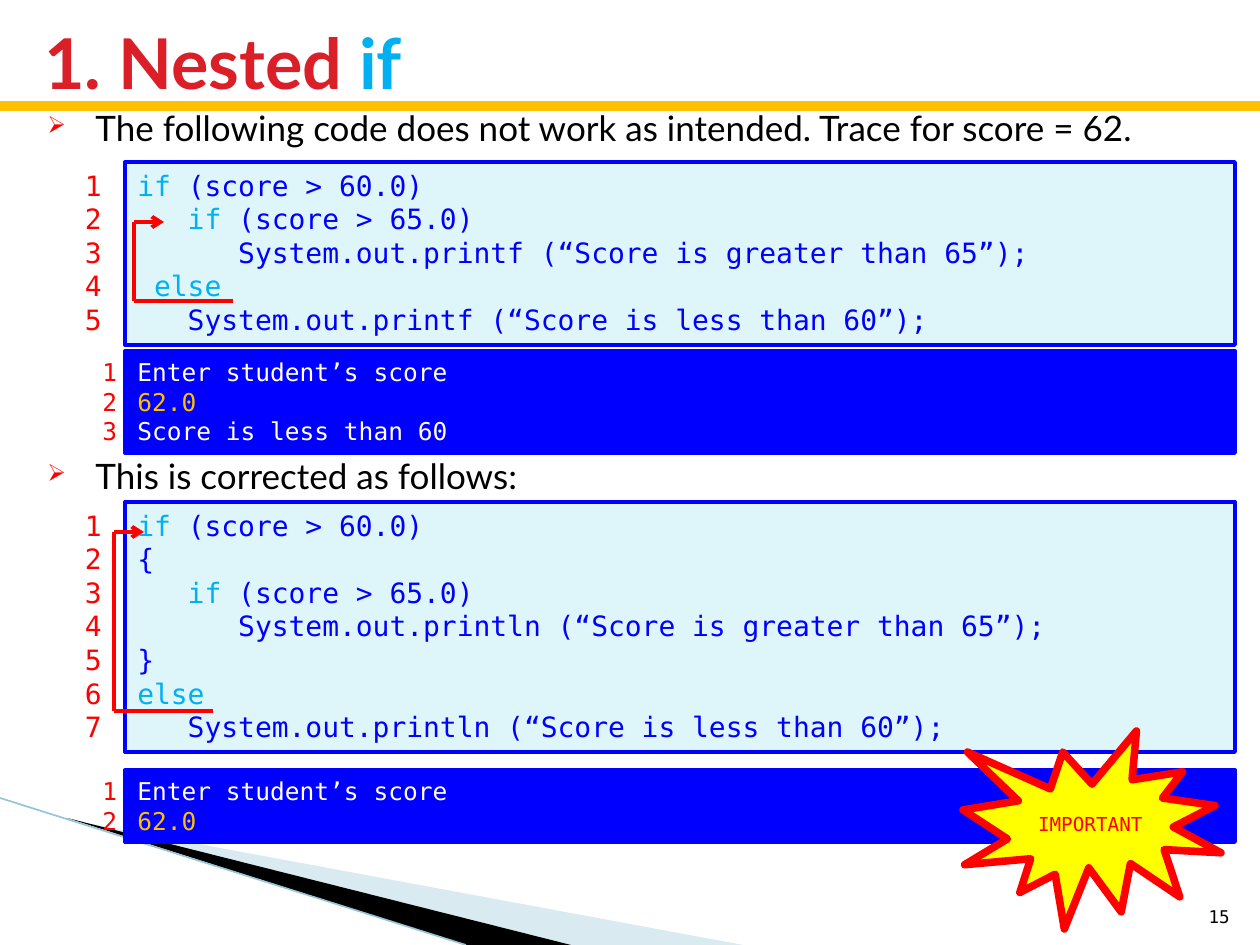
from dataclasses import dataclass

from lxml import etree
from pptx import Presentation
from pptx import util as u
from pptx.dml.color import RGBColor
from pptx.enum import shapes, text
from pptx.oxml import ns

PX = 914400 / 126
WIDTH, HEIGHT = 1260, 945
PANEL_LEFT, PANEL_WIDTH = 125, 1110
KEYWORDS = ("if", "else")


@dataclass(frozen=True)
class Theme:
    sans: str = "Lato"
    mono: str = "DejaVu Sans Mono"
    title: str = "DA1F28"
    keyword: str = "00B0F0"
    blue: str = "0000FF"
    red: str = "FF0000"
    gold: str = "FFC000"
    yellow: str = "FFFF00"
    black: str = "000000"
    white: str = "FFFFFF"
    code_fill: str = "DEF5FA"
    swoosh: str = "A0CBDC"
    swoosh_edge: str = "97C5D8"
    title_size: int = 40
    body_size: int = 20
    code_size: int = 16
    output_size: int = 14
    seal_size: int = 11
    number_size: int = 10
    line: float = 2.25


THEME = Theme()

NESTED_CODE = [
    "if (score > 60.0)",
    "   if (score > 65.0)",
    "      System.out.printf (“Score is greater than 65”);",
    " else",
    "   System.out.printf (“Score is less than 60”);",
]
FIXED_CODE = [
    "if (score > 60.0)",
    "{",
    "   if (score > 65.0)",
    "      System.out.println (“Score is greater than 65”);",
    "}",
    "else",
    "   System.out.println (“Score is less than 60”);",
]
PROMPT, ANSWER = "Enter student’s score", "62.0"


def px(*lengths):
    return [u.Emu(round(length * PX)) for length in lengths]


def rgb(color):
    return RGBColor.from_string(color)


def add_xml(parent, tag, **attributes):
    return etree.SubElement(parent, ns.qn(tag), attributes)


def set_font(font, name, size, color=None, bold=False):
    font.name, font.size, font.bold = name, u.Pt(size), bold
    if color:
        font.color.rgb = rgb(color)


def paint(shape, fill, line=None, width=THEME.line):
    shape.shadow.inherit = False
    shape.fill.solid()
    shape.fill.fore_color.rgb = rgb(fill)
    if line:
        shape.line.color.rgb = rgb(line)
        shape.line.width = u.Pt(width)
    else:
        shape.line.fill.background()


def write(shape, lines, name, size, align=text.PP_ALIGN.LEFT, bold=False, leading=None):
    """Fill a shape with lines, each a list of (words, color) spans."""
    frame = shape.text_frame
    frame.word_wrap = True
    for index, spans in enumerate(lines):
        para = frame.paragraphs[0] if index == 0 else frame.add_paragraph()
        para.alignment = align
        if leading:
            para.line_spacing = leading
        colors = {color for _, color in spans}
        set_font(para.font, name, size, colors.pop() if len(colors) == 1 else None, bold)
        for words, color in spans:
            span = para.add_run()
            span.text = words
            set_font(span.font, name, size, color, bold)
    return frame


def add_line(page, start, end, color=THEME.red, width=THEME.line, arrow=False):
    line = page.shapes.add_connector(shapes.MSO_CONNECTOR.STRAIGHT, *px(*start, *end))
    line.line.color.rgb = rgb(color)
    line.line.width = u.Pt(width)
    if arrow:
        add_xml(line.line._get_or_add_ln(), "a:tailEnd", type="arrow")
    add_xml(line._element.spPr, "a:effectLst")


def add_bracket(page, left, right, bottom, top, tip):
    """Lead from under an else back up to the if it belongs to."""
    add_line(page, (right, bottom), (left, bottom))
    add_line(page, (left, bottom), (left, top))
    add_line(page, (left, top), (tip, top), arrow=True)


def add_wedge(page, points, color, alpha=None):
    builder = page.shapes.build_freeform(*points[0], scale=PX)
    builder.add_line_segments(points[1:], close=True)
    wedge = builder.convert_to_shape()
    paint(wedge, color)
    if alpha:
        fill = wedge._element.spPr.find(ns.qn("a:solidFill"))
        add_xml(fill[0], "a:alpha", val=str(alpha * 1000))


def add_bullet(page, top, words):
    box = page.shapes.add_textbox(*px(35, top, 1191, 58))
    pr = box.text_frame.paragraphs[0]._p.get_or_add_pPr()
    indent = px(48)[0]
    pr.set("marL", str(indent))
    pr.set("indent", str(-indent))
    add_xml(add_xml(pr, "a:buClr"), "a:srgbClr", val=THEME.red)
    add_xml(pr, "a:buSzPct", val="68000")
    add_xml(pr, "a:buChar", char="➢")
    write(box, [[(words, THEME.black)]], THEME.sans, THEME.body_size,
          text.PP_ALIGN.JUSTIFY, leading=0.9)


def color_code(line):
    """Split a code line so that a leading keyword gets its own color."""
    body = line.lstrip()
    indent = line[:len(line) - len(body)]
    word = body.split(" ")[0]
    if word not in KEYWORDS:
        return [(line, THEME.blue)]
    rest = body[len(word):]
    spans = [(indent + word, THEME.keyword)]
    return spans + [(rest, THEME.blue)] if rest else spans


def add_panel(page, top, height, lines, size, fill, gutter, align):
    """Numbered panel; gutter is the left and width of the number column."""
    group = page.shapes.add_group_shape()
    box = group.shapes.add_shape(shapes.MSO_SHAPE.RECTANGLE,
                                 *px(PANEL_LEFT, top, PANEL_WIDTH, height))
    paint(box, fill, THEME.blue)
    box.text_frame.vertical_anchor = text.MSO_ANCHOR.TOP
    leading = u.Pt(1.2 * size)
    write(box, lines, THEME.mono, size, leading=leading)
    left, width = gutter
    column = group.shapes.add_textbox(*px(left, top, width, height))
    numbers = [[(str(number), THEME.red)] for number in range(1, len(lines) + 1)]
    frame = write(column, numbers, THEME.mono, size, align, leading=leading)
    if align == text.PP_ALIGN.LEFT:
        frame.margin_right = 0


def add_code(page, top, height, lines):
    add_panel(page, top, height, [color_code(line) for line in lines],
              THEME.code_size, THEME.code_fill, (25, 89), text.PP_ALIGN.RIGHT)


def add_output(page, top, height, lines):
    spans = [[(line, THEME.gold if line == ANSWER else THEME.white)] for line in lines]
    add_panel(page, top, height, spans, THEME.output_size, THEME.blue,
              (90, 34), text.PP_ALIGN.LEFT)


def add_seal(page, words):
    seal = page.shapes.add_shape(shapes.MSO_SHAPE.EXPLOSION1, *px(963, 731, 258, 198))
    paint(seal, THEME.yellow, THEME.red, 4.33)
    frame = write(seal, [[(words, THEME.red)]], THEME.mono, THEME.seal_size,
                  text.PP_ALIGN.CENTER)
    frame.vertical_anchor = text.MSO_ANCHOR.MIDDLE
    frame.margin_left = frame.margin_right = 0


def main():
    deck = Presentation()
    deck.slide_width, deck.slide_height = px(WIDTH, HEIGHT)
    page = deck.slides.add_slide(deck.slide_layouts[6])

    add_wedge(page, [(69, 820), (743, HEIGHT), (571, HEIGHT)], THEME.swoosh, 40)
    add_wedge(page, [(67, 818), (571, HEIGHT), (466, HEIGHT)], THEME.black)
    add_line(page, (0, 798), (466, HEIGHT), THEME.swoosh_edge, 0.95)
    add_line(page, (0, 106), (WIDTH, 106), THEME.gold, 6)

    title = page.shapes.add_textbox(*px(32, 21, 1193, 82))
    frame = write(title, [[("1. Nested ", THEME.title), ("if", THEME.keyword)]],
                  THEME.sans, THEME.title_size, bold=True)
    frame.vertical_anchor = text.MSO_ANCHOR.MIDDLE

    add_bullet(page, 105, "The following code does not work as intended. Trace for score = 62.")
    add_code(page, 162, 183, NESTED_CODE)
    add_bracket(page, 134, 233, 301, 222, 164)
    add_output(page, 351, 102, [PROMPT, ANSWER, "Score is less than 60"])

    add_bullet(page, 453, "This is corrected as follows:")
    add_code(page, 502, 250, FIXED_CODE)
    add_output(page, 770, 72, [PROMPT, ANSWER])
    add_bracket(page, 114, 213, 711, 532, 144)
    add_seal(page, "IMPORTANT")

    number = page.shapes.add_textbox(*px(1192, 883, 50, 50))
    frame = write(number, [[("15", THEME.black)]], THEME.mono, THEME.number_size,
                  text.PP_ALIGN.RIGHT)
    frame.vertical_anchor = text.MSO_ANCHOR.BOTTOM
    deck.save("out.pptx")


if __name__ == "__main__":
    main()
